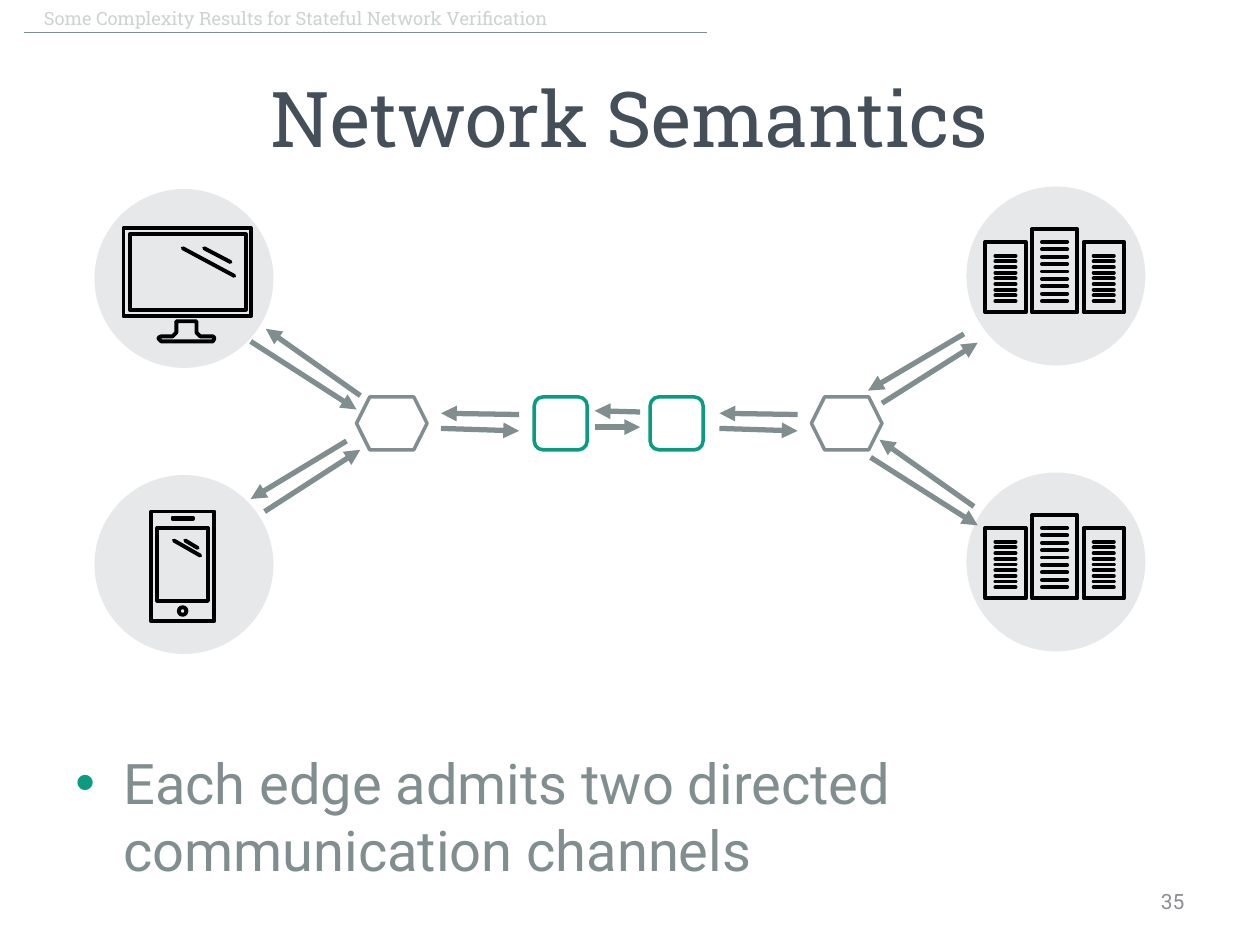
import math

import pptx
import pptx.dml.color
import pptx.enum.shapes
import pptx.enum.text
import pptx.oxml.xmlchemy
import pptx.util

Inches = pptx.util.Inches
Pt = pptx.util.Pt
SHAPE = pptx.enum.shapes.MSO_SHAPE
ANCHOR = pptx.enum.text.MSO_ANCHOR
ALIGN = pptx.enum.text.PP_ALIGN

THEME = {
    "slab": "Roboto Slab", "sans": "Roboto",
    "title": "444F59", "grey": "818E8F", "header": "CDD2D2", "number": "8C8E92",
    "teal": "0B9B80", "disc": "E6E8E9", "ink": "000000",
    "title_size": 44, "body_size": 32, "number_size": 12, "header_size": 10.5,
    "icon_line": 2.25, "node_line": 2, "arrow_line": 3, "rule_line": 0.75,
}

HEADER = "Some Complexity Results for Stateful Network Veriﬁcation"
TITLE = "Network Semantics"
BULLET = "Each edge admits two directed communication channels"
PAGE_NUMBER = "35"

DISC_SIZE = 1.42
SERVERS = [(7.67, 1.48), (7.67, 3.75)]
PHONE = (0.75, 3.77)
MONITOR = (0.75, 1.5)

RACK_BOTTOM, VENT_BOTTOM, VENT_COUNT, VENT_INSET = 1.0, 0.91, 9, 0.08
RACKS = [(0.15, 0.44, 0.32, 0.55), (0.93, 0.44, 0.32, 0.55), (0.52, 0.34, 0.36, 0.44)]

STAND = [(0.94, 1.17), (0.84, 1.17), (0.81, 1.14), (0.81, 1.05), (0.65, 1.05),
         (0.65, 1.14), (0.62, 1.17), (0.53, 1.17), (0.51, 1.18), (0.51, 1.19),
         (0.53, 1.21), (0.94, 1.21), (0.95, 1.19), (0.95, 1.18)]
MONITOR_GLARE = [((0.87, 0.47), (1.08, 0.58)), ((0.7, 0.47), (1.11, 0.69))]
PHONE_GLARE = [[(0.72, 0.52), (0.82, 0.58)], [(0.63, 0.52), (0.84, 0.64)]]

NODE_TOP, NODE_HEIGHT = 3.15, 0.42
NODES = [(SHAPE.HEXAGON, 2.83, 0.56, "grey"), (SHAPE.HEXAGON, 6.44, 0.56, "grey"),
         (SHAPE.ROUNDED_RECTANGLE, 4.24, 0.42, "teal"),
         (SHAPE.ROUNDED_RECTANGLE, 5.16, 0.42, "teal")]

CHANNELS = [
    (((2.11, 2.61), (2.86, 3.14)), ((1.99, 2.71), (2.83, 3.25))),
    (((3.5, 3.28), (4.12, 3.29)), ((3.5, 3.4), (4.12, 3.42))),
    (((5.71, 3.28), (6.33, 3.29)), ((5.71, 3.4), (6.33, 3.42))),
    (((4.72, 3.26), (5.08, 3.27)), ((4.72, 3.39), (5.08, 3.39))),
    (((6.98, 3.49), (7.73, 4.02)), ((6.91, 3.63), (7.76, 4.17))),
    (((6.89, 3.1), (7.65, 2.65)), ((7, 3.2), (7.76, 2.72))),
    (((1.99, 3.96), (2.75, 3.5)), ((2.1, 4.06), (2.86, 3.57))),
]


def color(name):
    return pptx.dml.color.RGBColor.from_string(THEME[name])


def add_element(parent, tag, **attributes):
    element = pptx.oxml.xmlchemy.OxmlElement(tag)
    for name, value in attributes.items():
        element.set(name, value)
    parent.append(element)
    return element


def set_line(item, tint, width):
    item.line.color.rgb = color(tint)
    item.line.width = Pt(THEME[width])
    if tint == "ink":
        item.line._get_or_add_ln().set("cap", "rnd")


def add_line(shapes, start, end, tint, width, arrow_end=None):
    line = shapes.add_connector(pptx.enum.shapes.MSO_CONNECTOR.STRAIGHT,
                                *map(Inches, start + end))
    set_line(line, tint, width)
    if arrow_end:
        add_element(line.line._get_or_add_ln(), arrow_end, type="triangle")
    add_element(line._element.spPr, "a:effectLst")


def add_preset(shapes, kind, left, top, width, height):
    shape = shapes.add_shape(kind, *map(Inches, (left, top, width, height)))
    shape.shadow.inherit = False
    return shape


def add_outline(shapes, origin, closed, strokes=()):
    contours = [(points, True) for points in closed] + [(points, False) for points in strokes]
    builder = None
    for points, close in contours:
        places = [(Inches(origin[0] + x), Inches(origin[1] + y)) for x, y in points]
        if builder is None:
            builder = shapes.build_freeform(*places[0])
        else:
            builder.move_to(*places[0])
        builder.add_line_segments(places[1:], close=close)
    outline = builder.convert_to_shape()
    outline.shadow.inherit = False
    outline.fill.background()
    set_line(outline, "ink", "icon_line")


def rectangle(left, top, right, bottom):
    return [(right, top), (left, top), (left, bottom), (right, bottom)]


def circle(x, y, radius, steps=12):
    angles = [2 * math.pi * step / steps for step in range(steps)]
    return [(x + radius * math.cos(angle), y + radius * math.sin(angle)) for angle in angles]


def add_icon(page, origin):
    shapes = page.shapes.add_group_shape().shapes
    disc = add_preset(shapes, SHAPE.OVAL, *origin, DISC_SIZE, DISC_SIZE)
    disc.fill.solid()
    disc.fill.fore_color.rgb = color("disc")
    disc.line.fill.background()
    return shapes


def add_icon_line(shapes, origin, start, end):
    left, top = origin
    add_line(shapes, (left + start[0], top + start[1]), (left + end[0], top + end[1]),
             "ink", "icon_line")


def add_servers(page, origin):
    shapes = add_icon(page, origin)
    for left, top, width, vent_top in RACKS:
        add_outline(shapes, origin, [rectangle(left, top, left + width, RACK_BOTTOM)])
        step = (VENT_BOTTOM - vent_top) / (VENT_COUNT - 1)
        for index in range(VENT_COUNT):
            y = vent_top + index * step
            add_icon_line(shapes, origin, (left + VENT_INSET, y), (left + width - VENT_INSET, y))


def add_phone(page, origin):
    shapes = add_icon(page, origin)
    parts = [rectangle(0.45, 0.29, 0.95, 1.16), rectangle(0.62, 0.34, 0.78, 0.35),
             circle(0.7, 1.08, 0.03), rectangle(0.5, 0.42, 0.9, 1.0)]
    add_outline(shapes, origin, parts, PHONE_GLARE)


def add_monitor(page, origin):
    shapes = add_icon(page, origin)
    add_outline(shapes, origin, [rectangle(0.23, 0.31, 1.24, 1.01),
                                 rectangle(0.28, 0.36, 1.2, 0.96)])
    add_outline(shapes, origin, [STAND])
    for start, end in MONITOR_GLARE:
        add_icon_line(shapes, origin, start, end)


def write(box, text, font, size, tint, align=ALIGN.LEFT, anchor=ANCHOR.MIDDLE):
    frame = box.text_frame
    frame.word_wrap = True
    frame.auto_size = pptx.enum.text.MSO_AUTO_SIZE.NONE
    frame.vertical_anchor = anchor
    para = frame.paragraphs[0]
    para.alignment = align
    span = para.add_run()
    span.text = text
    span.font.name = THEME[font]
    span.font.size = Pt(THEME[size])
    span.font.color.rgb = color(tint)
    return para


def add_text(page, place, *content, **layout):
    return write(page.shapes.add_textbox(*map(Inches, place)), *content, **layout)


def add_bullet(para):
    properties = para._p.get_or_add_pPr()
    properties.set("marL", str(Inches(0.38)))
    properties.set("indent", str(-Inches(0.38)))
    add_element(add_element(properties, "a:buClr"), "a:srgbClr", val=THEME["teal"])
    add_element(properties, "a:buFont", typeface="Arial")
    add_element(properties, "a:buChar", char="•")


def main():
    deck = pptx.Presentation()
    deck.slide_width, deck.slide_height = Inches(10), Inches(7.5)
    page = deck.slides.add_slide(deck.slide_layouts.get_by_name("Title Only"))

    add_text(page, (0.25, 0.06, 4.88, 0.17), HEADER, "slab", "header_size", "header")
    add_line(page.shapes, (0.19, 0.26), (5.61, 0.26), "grey", "rule_line")

    title = page.shapes.title
    title.left, title.top, title.width, title.height = map(Inches, (0.5, 0.3, 9, 1.25))
    write(title, TITLE, "slab", "title_size", "title", align=ALIGN.CENTER)
    add_text(page, (7.17, 6.95, 2.33, 0.4), PAGE_NUMBER, "sans", "number_size", "number",
             align=ALIGN.RIGHT)

    for origin in SERVERS:
        add_servers(page, origin)
    add_phone(page, PHONE)
    add_monitor(page, MONITOR)

    for kind, left, width, tint in NODES:
        node = add_preset(page.shapes, kind, left, NODE_TOP, width, NODE_HEIGHT)
        node.fill.background()
        set_line(node, tint, "node_line")

    add_bullet(add_text(page, (0.5, 5.89, 9, 1.33), BULLET, "sans", "body_size", "grey",
                        anchor=ANCHOR.TOP))

    for channel in CHANNELS:
        for (start, end), arrow_end in zip(channel, ("a:headEnd", "a:tailEnd")):
            add_line(page.shapes, start, end, "grey", "arrow_line", arrow_end)

    deck.save("out.pptx")


if __name__ == "__main__":
    main()
